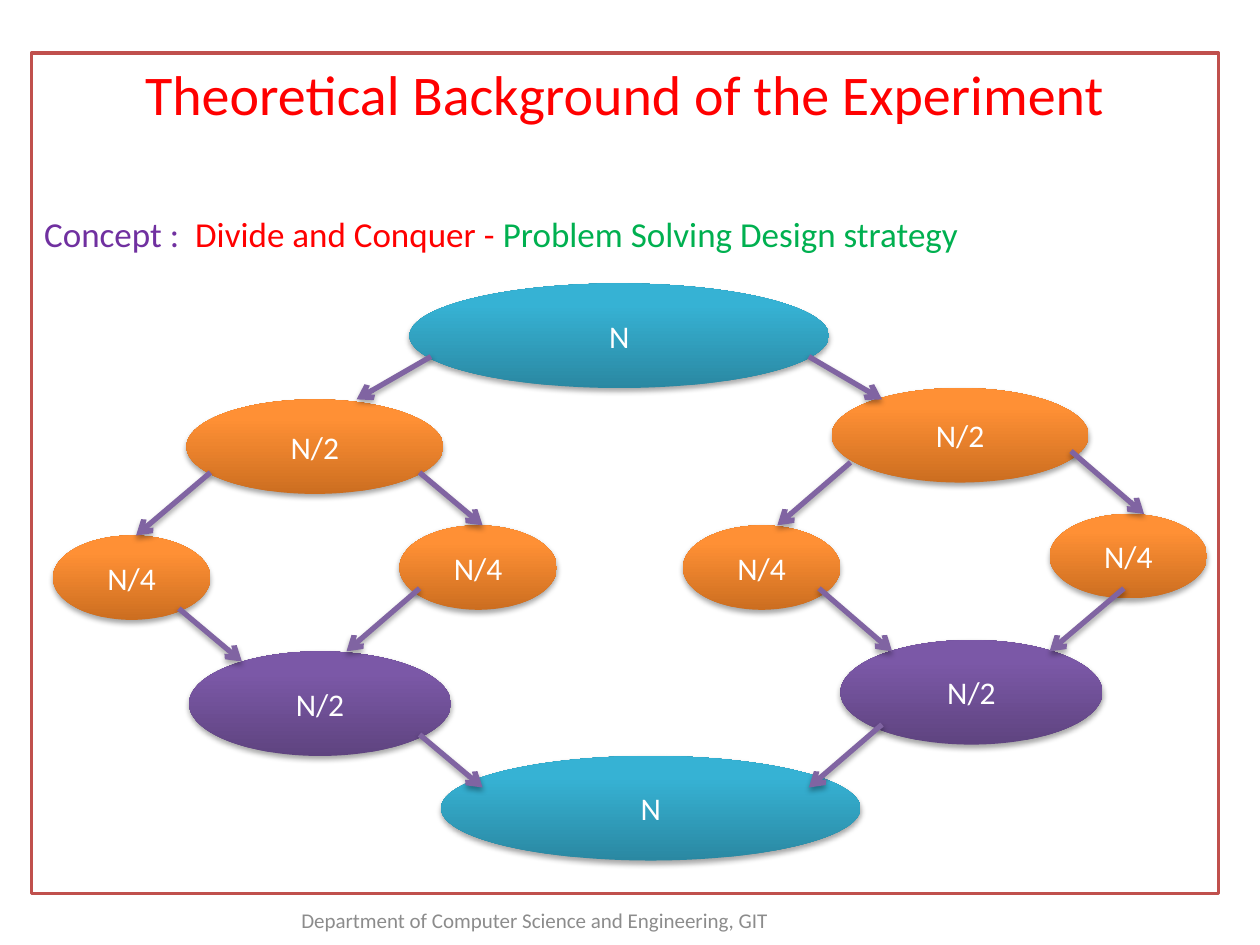
from lxml import etree
from pptx import Presentation
from pptx.dml.color import RGBColor
from pptx.enum.shapes import MSO_CONNECTOR, MSO_SHAPE
from pptx.enum.text import MSO_ANCHOR, MSO_AUTO_SIZE, PP_ALIGN
from pptx.oxml import parse_xml
from pptx.oxml.ns import nsdecls, qn
from pptx.util import Inches, Pt

OVAL, STRAIGHT = MSO_SHAPE.OVAL, MSO_CONNECTOR.STRAIGHT
TOP, MIDDLE = MSO_ANCHOR.TOP, MSO_ANCHOR.MIDDLE
LEFT, CENTER = PP_ALIGN.LEFT, PP_ALIGN.CENTER
NO_FIT = MSO_AUTO_SIZE.NONE

COLORS = {
    "white": "FFFFFF", "border": "C0504D", "arrow": "8064A2", "footer": "8C8C8C",
    "red": "FF0000", "purple": "7030A0", "green": "00B050",
}
# Dark and light end of each node gradient
GRADIENTS = {
    "whole": ("2A88A2", "36B2D4"),
    "divide": ("CC6E20", "FF9035"),
    "combine": ("5F4480", "7B58A7"),
}


class Deck:
    font = "Calibri"

    def __init__(self, prs):
        self.s = prs.slides.add_slide(prs.slide_layouts[0])

    def color(self, name):
        return RGBColor.from_string(COLORS[name])

    def paragraph(self, p, runs, size, align=CENTER, before=0):
        p.alignment, p.space_before = align, Pt(before)
        p.font.name, p.font.size = self.font, Pt(size)
        if len(runs) == 1:
            p.font.color.rgb = self.color(runs[0][1])
        for text, color in runs:
            r = p.add_run()
            r.text = text
            if len(runs) > 1:
                r.font.color.rgb = self.color(color)

    def place(self, sp, box):
        sp.left, sp.top, sp.width, sp.height = map(Inches, box)

    def shadow(self, sp):
        sp._element.spPr.append(parse_xml(
            f'<a:effectLst {nsdecls("a")}><a:outerShdw blurRad="40000" dist="23000" '
            'dir="5400000" rotWithShape="0"><a:srgbClr val="000000">'
            '<a:alpha val="35000"/></a:srgbClr></a:outerShdw></a:effectLst>'))

    def heading(self, box, title, concept):
        title_sp, sp = self.s.placeholders
        title_sp._element.getparent().remove(title_sp._element)
        self.place(sp, box)
        sp.fill.solid()
        sp.fill.fore_color.rgb = self.color("white")
        sp.line.color.rgb, sp.line.width = self.color("border"), Pt(2)
        tf = sp.text_frame
        tf.auto_size, tf.vertical_anchor = NO_FIT, TOP
        self.paragraph(tf.paragraphs[0], title, 32)
        self.paragraph(tf.add_paragraph(), concept, 20, LEFT, before=49)

    def footer(self, box, text):
        tf = self.s.shapes.add_textbox(*map(Inches, box)).text_frame
        tf.word_wrap, tf.vertical_anchor = True, MIDDLE
        self.paragraph(tf.paragraphs[0], [(text, "footer")], 12)

    def node(self, text, kind, *box):
        sp = self.s.shapes.add_shape(OVAL, *map(Inches, box))
        sp.fill.gradient()
        sp.fill.gradient_angle = 90
        for stop, position, color in zip(sp.fill.gradient_stops, (0, 0.8), GRADIENTS[kind]):
            stop.position = position
            stop.color.rgb = RGBColor.from_string(color)
        sp.line.fill.background()
        self.shadow(sp)
        tf = sp.text_frame
        tf.vertical_anchor = MIDDLE
        self.paragraph(tf.paragraphs[0], [(text, "white")], 18)

    def arrow(self, *ends):
        c = self.s.shapes.add_connector(STRAIGHT, *map(Inches, ends))
        c.line.color.rgb, c.line.width = self.color("arrow"), Pt(3)
        etree.SubElement(c.line._get_or_add_ln(), qn("a:tailEnd"), type="arrow")
        self.shadow(c)


prs = Presentation()
prs.slide_width, prs.slide_height = Inches(10), Inches(7.5)
deck = Deck(prs)

# Framed heading and footer
deck.heading(
    (0.25, 0.42, 9.42, 6.67),
    [("Theoretical Background of the Experiment", "red")],
    [("Concept :  ", "purple"), ("Divide and Conquer - ", "red"),
     ("Problem Solving Design strategy", "green")])
deck.footer((1.58, 7.1, 5.33, 0.4), "Department of Computer Science and Engineering, GIT")

# Nodes: label, kind, width, height, then the left and top of each
LEVELS = [
    ("N", "whole", 3.33, 0.83, [(3.25, 2.25), (3.5, 6)]),
    ("N/2", "divide", 2.04, 0.75, [(1.48, 3.17), (6.6, 3.08)]),
    ("N/4", "divide", 1.25, 0.67, [(0.42, 4.25), (3.17, 4.17), (5.42, 4.17), (8.33, 4.08)]),
    ("N/2", "combine", 2.08, 0.83, [(1.5, 5.17), (6.67, 5.08)]),
]
for label, kind, width, height, corners in LEVELS:
    for left, top in corners:
        deck.node(label, kind, left, top, width, height)

# Arrows: start x, start y, end x, end y
ARROWS = [
    # N to halves
    (3.42, 2.83, 2.83, 3.17), (6.42, 2.83, 7, 3.17),
    # Halves to quarters
    (1.67, 3.75, 1.08, 4.25), (3.33, 3.75, 3.83, 4.17),
    (6.75, 3.67, 6.17, 4.17), (8.5, 3.58, 9.08, 4.08),
    # Quarters to combined halves
    (1.42, 4.83, 1.92, 5.25), (3.33, 4.67, 2.75, 5.17),
    (6.5, 4.67, 7.08, 5.17), (8.92, 4.67, 8.33, 5.17),
    # Combined halves to N
    (3.33, 5.83, 3.83, 6.25), (7, 5.75, 6.42, 6.25),
]
for ends in ARROWS:
    deck.arrow(*ends)

prs.save("out.pptx")
